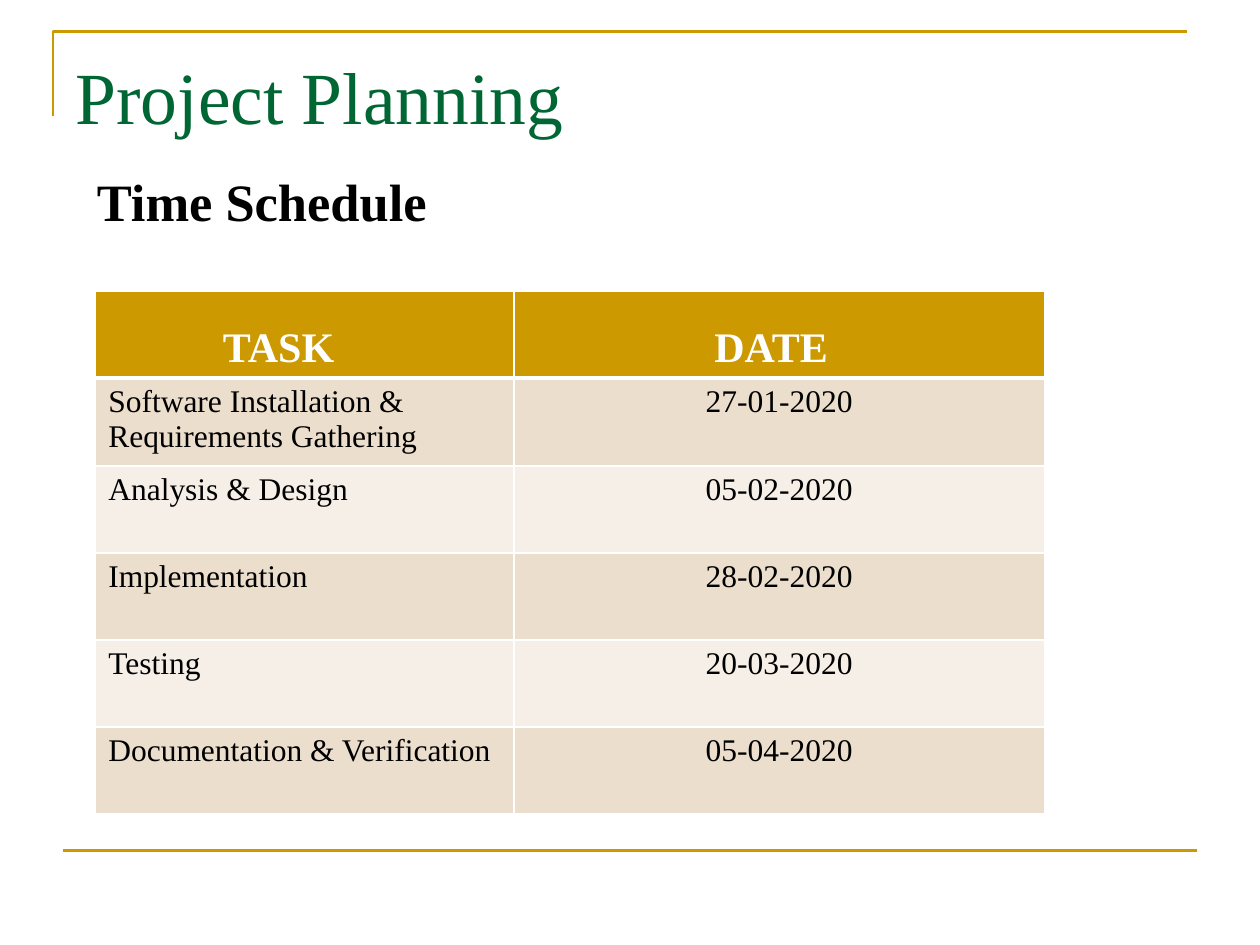
"""Build the project planning slide with its time schedule table."""
from lxml import etree
from pptx import Presentation
from pptx import util as u
from pptx.dml.color import RGBColor
from pptx.enum import shapes, text
from pptx.oxml import ns

COLORS = {"gold": "CC9900", "green": "006633", "black": "000000",
          "white": "FFFFFF", "tan": "ECDECC", "cream": "F6EFE7"}
SCHEDULE = [
    ("TASK", "DATE"),
    ("Software Installation & Requirements Gathering", "27-01-2020"),
    ("Analysis & Design", "05-02-2020"),
    ("Implementation", "28-02-2020"),
    ("Testing", "20-03-2020"),
    ("Documentation & Verification", "05-04-2020"),
]
HEADER_INDENTS = (1.01, 1.59)


def write(frame, words, size, color, bold=False, align=text.PP_ALIGN.LEFT):
    frame.text = words
    para = frame.paragraphs[0]
    para.alignment = align
    span = para.runs[0]
    span.font.name = "Times New Roman"
    span.font.size = u.Pt(size)
    span.font.bold = bold
    span.font.color.rgb = RGBColor.from_string(COLORS[color])
    return para


def add_border(cell, side, points):
    line = etree.SubElement(cell.fill._xPr, ns.qn(f"a:{side}"), w=str(u.Pt(points)))
    fill = etree.SubElement(line, ns.qn("a:solidFill"))
    etree.SubElement(fill, ns.qn("a:srgbClr"), val=COLORS["white"])


deck = Presentation()
deck.slide_width, deck.slide_height = u.Inches(10), u.Inches(7.5)
page = deck.slides.add_slide(deck.slide_layouts[5])

outline = page.shapes.build_freeform(u.Inches(0.42), u.Inches(0.92))
outline.add_line_segments(
    [(u.Inches(0.42), u.Inches(0.25)), (u.Inches(9.42), u.Inches(0.25))], close=False)
corner = outline.convert_to_shape()
corner.shadow.inherit = False
corner.fill.background()

footer_rule = page.shapes.add_connector(
    shapes.MSO_CONNECTOR.STRAIGHT,
    u.Inches(0.5), u.Inches(6.75), u.Inches(9.5), u.Inches(6.75))
etree.SubElement(footer_rule._element.spPr, ns.qn("a:effectLst"))
for rule in (corner, footer_rule):
    rule.line.color.rgb = RGBColor.from_string(COLORS["gold"])
    rule.line.width = u.Pt(1.5)

title = page.shapes.title
title.left, title.top = u.Inches(0.5), u.Inches(0.37)
title.width, title.height = u.Inches(9), u.Inches(0.77)
title.text_frame.auto_size = text.MSO_AUTO_SIZE.NONE
title.text_frame.vertical_anchor = text.MSO_ANCHOR.MIDDLE
write(title.text_frame, "Project Planning", 42, "green")

box = page.shapes.add_textbox(u.Inches(0.5), u.Inches(1.29), u.Inches(9), u.Inches(0.8))
box.text_frame.word_wrap = True
box.text_frame.margin_left = u.Inches(0.27)
heading = write(box.text_frame, "Time Schedule", 30, "black", bold=True)
heading.space_before = u.Pt(3.6)

table = page.shapes.add_table(
    len(SCHEDULE), 2, u.Inches(0.76), u.Inches(2.31), u.Inches(7.54), u.Inches(4.14)).table
for column, width in zip(table.columns, (3.32, 4.21)):
    column.width = u.Inches(width)

for row, entries in enumerate(SCHEDULE):
    table.rows[row].height = u.Inches(0.69)
    for col, words in enumerate(entries):
        cell = table.cell(row, col)
        if row == 0:
            fill = "gold"
            cell.margin_left = u.Inches(HEADER_INDENTS[col])
            cell.vertical_anchor = text.MSO_ANCHOR.BOTTOM
            write(cell.text_frame, words, 24, "white", bold=True)
        else:
            fill = "tan" if row % 2 else "cream"
            align = text.PP_ALIGN.CENTER if col else text.PP_ALIGN.LEFT
            write(cell.text_frame, words, 18, "black", align=align)
        for side in ("lnL", "lnR", "lnT", "lnB"):
            thick = (row, side) in ((0, "lnB"), (1, "lnT"))
            add_border(cell, side, 3 if thick else 1)
        cell.fill.solid()
        cell.fill.fore_color.rgb = RGBColor.from_string(COLORS[fill])

deck.save("out.pptx")
